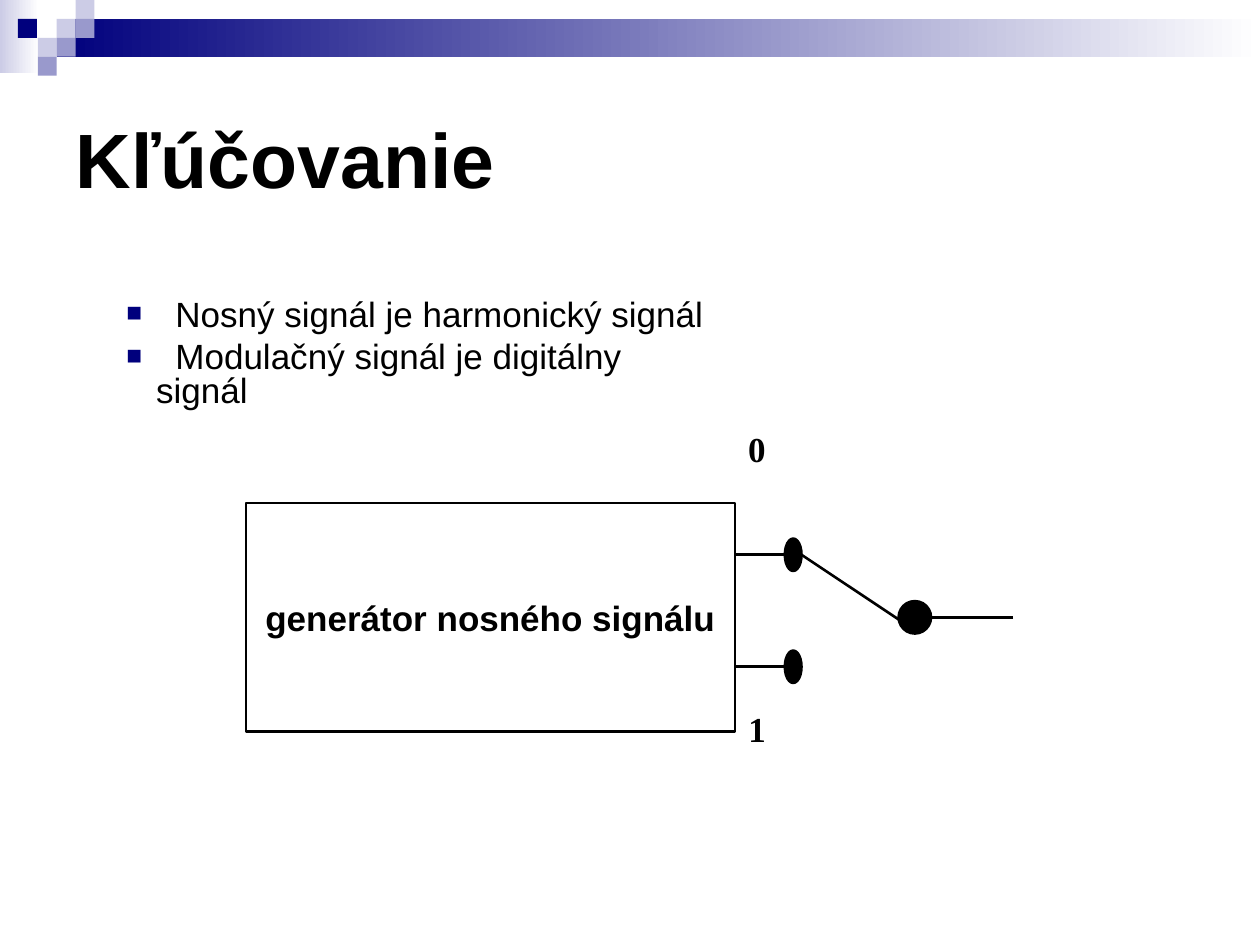
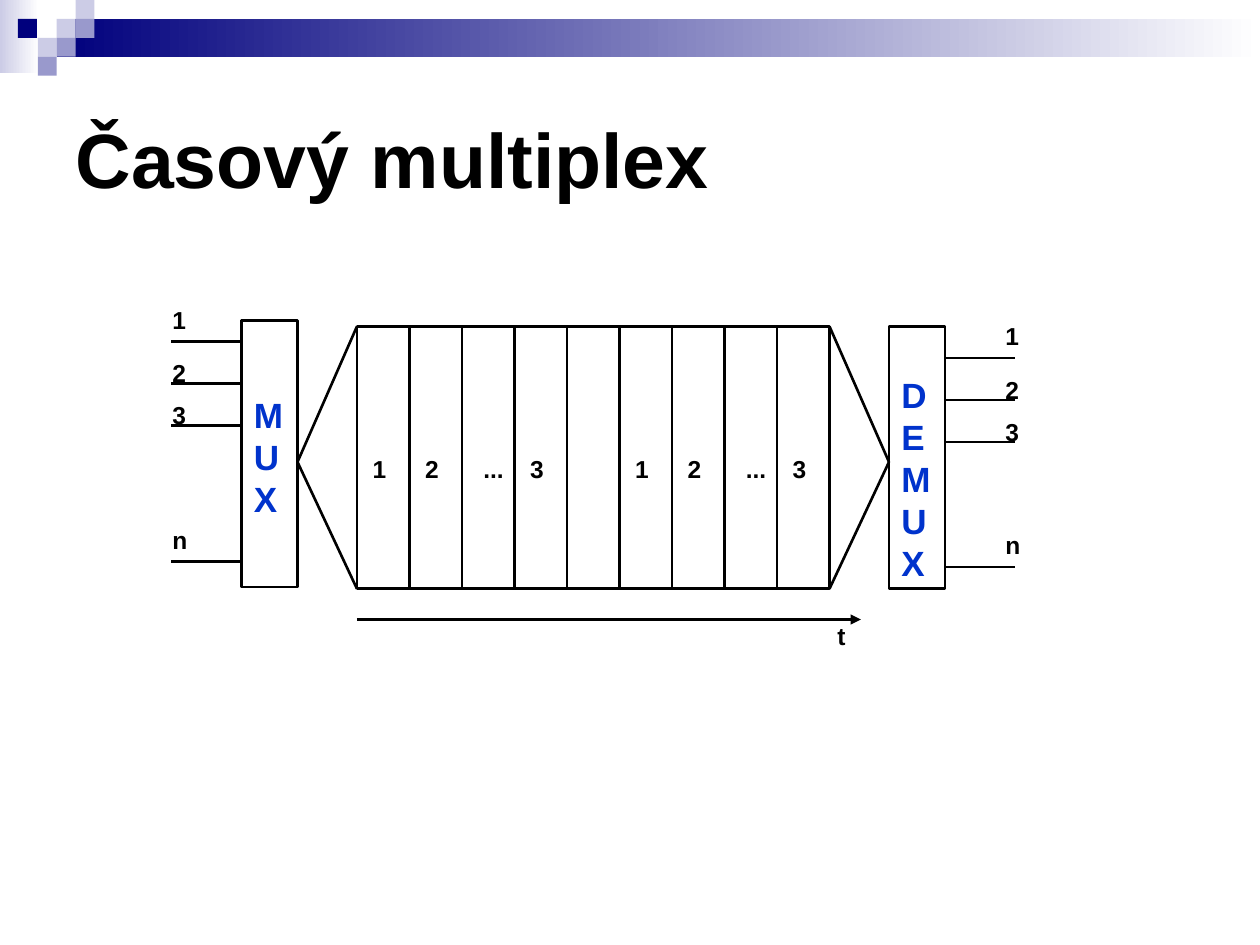
from dataclasses import dataclass

from lxml import etree
from pptx import Presentation
from pptx import util as u
from pptx.dml.color import RGBColor
from pptx.enum import shapes, text
from pptx.oxml import ns

Pt = u.Pt
KIND = shapes.MSO_SHAPE
ALIGN = text.PP_ALIGN
ANCHOR = text.MSO_ANCHOR


@dataclass(frozen=True)
class Theme:
    ink: str = "000000"
    paper: str = "FFFFFF"
    navy: str = "00007D"
    mid: str = "9999CC"
    light: str = "CCCCE6"
    blue: str = "0033CC"
    sans: str = "Arial"
    serif: str = "Times New Roman"
    title: int = 44
    large: int = 20
    small: int = 14
    line: float = 1.5


def put(item, values):
    """Set each attribute named in values."""
    for name, value in values.items():
        setattr(item, name, value)


def add_tag(parent, tag, **values):
    return etree.SubElement(parent, ns.qn(tag), **values)


class Deck:
    def __init__(self, theme):
        self.theme = theme
        self.show = Presentation()
        put(self.show, {"slide_width": Pt(720), "slide_height": Pt(540)})
        self.slide = None

    # Shared parts
    def start(self, title, layout):
        self.slide = self.show.slides.add_slide(self.show.slide_layouts[layout])
        self.band()
        head = self.slide.shapes.title
        self.place(head, 36, 36, 648, 108)
        self.letter(head, title, size=self.theme.title, anchor=ANCHOR.MIDDLE)

    def band(self):
        t = self.theme
        self.fade(0, 0, 22.3, 41.8, t.light)
        self.fade(32.4, 10.8, 687.6, 21.6, t.navy)
        step = 10.8
        tiles = [(3, 1, t.light), (4, 0, t.light), (4, 1, t.mid), (2, 2, t.light),
                 (0.95, 1, t.navy), (3, 2, t.mid), (2, 3, t.mid)]
        for col, row, color in tiles:
            self.shape(col * step, row * step, step, step, fill=color, edge=False)

    def fade(self, x, y, w, h, color):
        fill = self.shape(x, y, w, h, edge=False).fill
        fill.gradient()
        fill.gradient_angle = 0
        for stop, tone, spot in zip(fill.gradient_stops, (color, self.theme.paper), (0, 1)):
            stop.color.rgb = RGBColor.from_string(tone)
            stop.position = spot

    # Elements
    def place(self, item, x, y, w, h):
        put(item, {"left": Pt(x), "top": Pt(y), "width": Pt(w), "height": Pt(h)})

    def shape(self, x, y, w, h, kind=KIND.RECTANGLE, fill=None, edge=True):
        item = self.slide.shapes.add_shape(kind, Pt(x), Pt(y), Pt(w), Pt(h))
        item.shadow.inherit = False
        if fill:
            item.fill.solid()
            item.fill.fore_color.rgb = RGBColor.from_string(fill)
        else:
            item.fill.background()
        if edge:
            item.line.color.rgb = RGBColor.from_string(self.theme.ink)
            item.line.width = Pt(self.theme.line)
        else:
            item.line.fill.background()
        return item

    def dot(self, x, y, w, h):
        return self.shape(x, y, w, h, KIND.OVAL, self.theme.ink)

    def style(self, para, size, color=None, face=None, bold=True):
        put(para.font, {"size": Pt(size), "bold": bold, "name": face or self.theme.sans})
        para.font.color.rgb = RGBColor.from_string(color or self.theme.ink)

    def letter(self, item, words, size, color=None, face=None, align=ALIGN.LEFT,
               anchor=ANCHOR.TOP, pad=(7.2, 3.6), top=None):
        frame = item.text_frame
        side, edge = pad
        put(frame, {"word_wrap": True, "auto_size": text.MSO_AUTO_SIZE.NONE,
                    "vertical_anchor": anchor,
                    "margin_left": Pt(side), "margin_right": Pt(side),
                    "margin_top": Pt(edge if top is None else top),
                    "margin_bottom": Pt(edge)})
        para = frame.paragraphs[0]
        para.text = words
        para.alignment = align
        self.style(para, size, color, face)

    def label(self, words, x, y, w, h, **looks):
        box = self.slide.shapes.add_textbox(Pt(x), Pt(y), Pt(w), Pt(h))
        self.letter(box, words, **looks)

    def mark(self, words, x, y, w=13.7):
        self.label(words, x, y, w, 18.7, size=self.theme.small,
                   align=ALIGN.CENTER, pad=(1.4, 0.7))

    def line(self, x1, y1, x2, y2, arrow=False):
        item = self.slide.shapes.add_connector(
            shapes.MSO_CONNECTOR.STRAIGHT, Pt(x1), Pt(y1), Pt(x2), Pt(y2))
        item.line.color.rgb = RGBColor.from_string(self.theme.ink)
        item.line.width = Pt(self.theme.line)
        props = item.element.spPr
        if arrow:
            add_tag(props.find(ns.qn("a:ln")), "a:tailEnd", type="triangle")
        add_tag(props, "a:effectLst")

    def bullets(self, lines, x, y, w, h):
        body = self.slide.placeholders[1]
        self.place(body, x, y, w, h)
        frame = body.text_frame
        put(frame, {"word_wrap": True, "auto_size": text.MSO_AUTO_SIZE.NONE,
                    "vertical_anchor": ANCHOR.TOP})
        for i, words in enumerate(lines):
            para = frame.paragraphs[0] if i == 0 else frame.add_paragraph()
            para.text = "\t" + words
            props = para._p.get_or_add_pPr()
            props.set("marL", str(Pt(17)))
            props.set("indent", str(Pt(-17)))
            color = add_tag(props, "a:buClr")
            add_tag(color, "a:srgbClr", val=self.theme.navy)
            add_tag(props, "a:buSzPct", val="75000")
            add_tag(props, "a:buFont", typeface=self.theme.sans)
            add_tag(props, "a:buChar", char="■")
            tabs = add_tag(props, "a:tabLst")
            add_tag(tabs, "a:tab", pos=str(Pt(28)), algn="l")
            put(para, {"line_spacing": 0.8, "space_before": Pt(5 if i else 0)})
            self.style(para, self.theme.large, bold=False)


def keying(deck):
    t = deck.theme
    deck.start("Kľúčovanie", 1)

    # Switch with its two contacts
    zero = deck.shape(420.5, 240.5, 75, 56, fill=t.paper, edge=False)
    deck.letter(zero, "0", size=t.large, face=t.serif)
    deck.line(513.5, 354, 458, 317)
    for y in (317, 381):
        deck.line(420, y, 448.5, y)
        deck.dot(448.5, y - 9.25, 9.5, 18.5)
    deck.label("1", 420.5, 401, 84, 75, size=t.large, face=t.serif)

    # Carrier source and output
    source = deck.shape(140.5, 287.5, 279.5, 130.5, fill=t.paper)
    deck.letter(source, "generátor nosného signálu", size=t.large,
                align=ALIGN.CENTER, anchor=ANCHOR.MIDDLE)
    deck.line(579, 352.75, 513.5, 352.75)
    deck.dot(513.5, 343.5, 18.5, 18.5)

    deck.bullets(["Nosný signál je harmonický signál",
                  "Modulačný signál je digitálny signál"], 65, 168, 350, 72)


def ports(deck, x, tag_x, rows):
    """Draw the numbered lines on one side of the link."""
    for name, y, lift in zip("123n", rows, (24.5, 18, 18, 24.5)):
        deck.line(x, y, x + 40, y)
        deck.label(name, tag_x, y - lift, 30, 23.5, size=deck.theme.small)


def multiplex(deck):
    t = deck.theme
    deck.start("Časový multiplex", 5)
    top, high, left, step = 186.5, 150, 204, 30
    cells = ["1", "2", "...", "3", "", "1", "2", "...", "3"]
    right, base = left + step * len(cells), top + high

    # Both ends of the link
    for name, x, y, h, inset in (("MUX", 138, 183, 152.5, 42),
                                 ("DEMUX", 508, top, high, 27)):
        unit = deck.shape(x, y, 32, h)
        deck.letter(unit, name, size=t.large, color=t.blue, top=inset)
    ports(deck, 98, 91.5, (195, 219, 243, 321))
    ports(deck, 540, 567.5, (204.5, 228.5, 252.5, 324))

    # Time slots
    for i, name in enumerate(cells):
        x = left + i * step
        deck.shape(x, top, step, high)
        if name:
            deck.mark(name, x + 6, 258.5, 24 if name == "..." else 13.7)

    # Funnels and time axis
    for tip, side in ((170, left), (508, right)):
        for y in (top, base):
            deck.line(tip, 264, side, y)
    deck.mark("t", right, 354)
    deck.line(left, 354, 492, 354, arrow=True)


def main():
    deck = Deck(Theme())
    keying(deck)
    multiplex(deck)
    deck.show.save("out.pptx")


if __name__ == "__main__":
    main()
